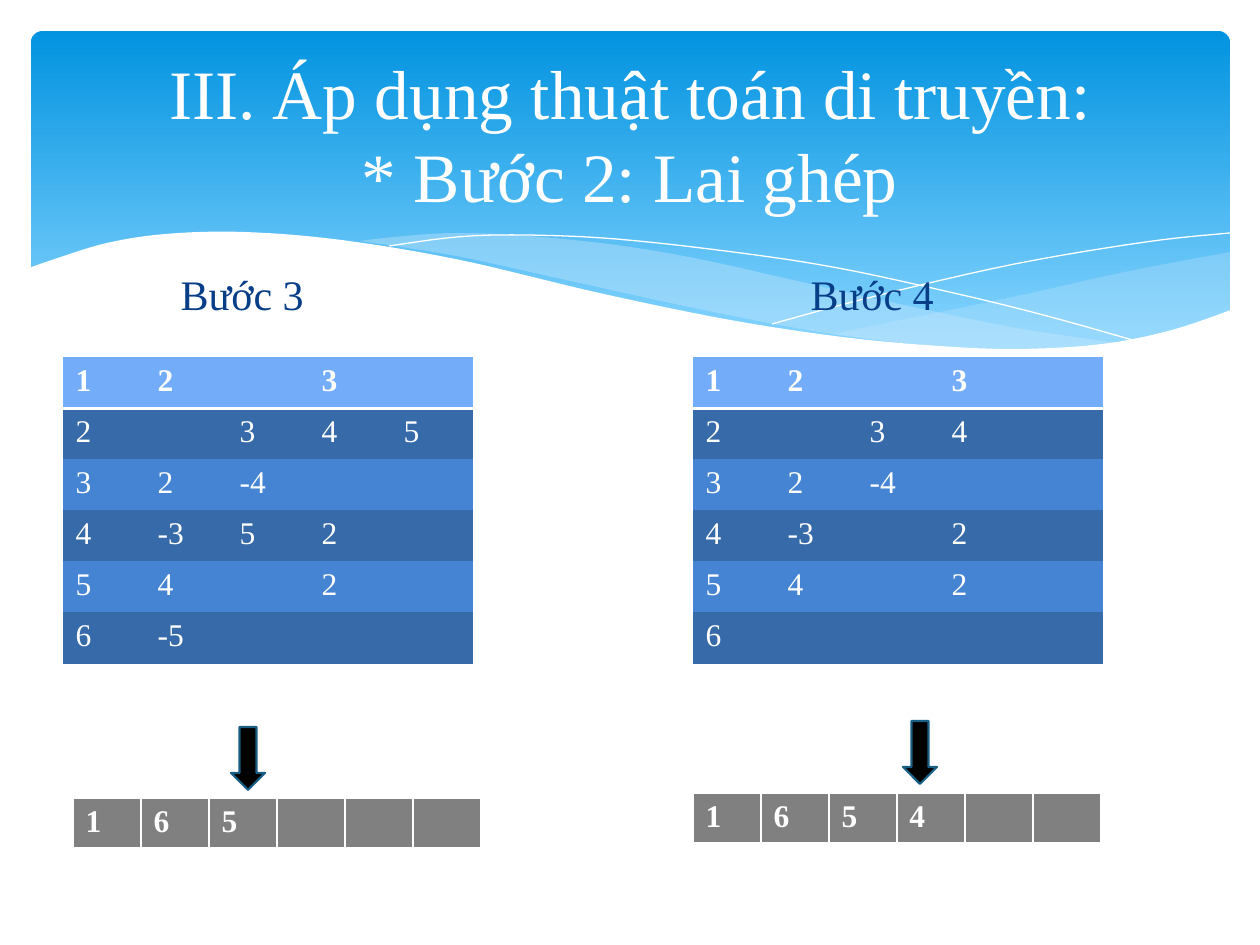
from dataclasses import dataclass
from typing import Optional

from lxml.etree import SubElement
from pptx import Presentation
from pptx.dml.color import RGBColor
from pptx.enum.shapes import MSO_SHAPE as SHAPE
from pptx.enum.text import MSO_ANCHOR as ANCHOR, MSO_AUTO_SIZE as AUTO, PP_ALIGN as ALIGN
from pptx.oxml.ns import qn
from pptx.util import Emu, Pt

COLORS = {
    "white": "FFFFFF", "sky": "0293E0", "sky_light": "83D3FE", "mist": "C6E7FC",
    "navy": "073E87", "header": "73ACF8", "odd": "376AA9", "even": "4584D3",
    "gray": "808080", "black": "000000", "outline": "195F84",
}
FONT = "Times New Roman"
NO_STYLE = "{2D5ABB26-0587-4C30-8999-92F81FD0307C}"
CELL_W, GENE_W, ROW_H = 82, 68, 51


@dataclass
class Wave:
    """Smooth edges joined in order; without a fill it is an open white line."""
    edges: list
    fill: Optional[str] = None
    alpha: int = 100


@dataclass
class Step:
    label: str
    left: int
    rows: list
    genes: list
    gene_at: tuple
    arrow_at: tuple


WAVES = [
    Wave([[(1230, 252), (1125, 272), (1008, 298), (833, 334)],
          [(833, 334), (922, 345), (1012, 350), (1088, 347), (1152, 338), (1230, 311)]],
         "mist", 29),
    Wave([[(1125, 344), (1017, 328), (890, 302), (793, 280), (699, 259), (616, 245),
           (529, 236), (455, 233), (394, 237), (360, 241)],
          [(360, 241), (456, 256), (566, 280), (713, 312), (838, 335), (943, 347),
           (1031, 350), (1125, 344)]], "mist", 40),
    Wave([[(389, 246), (457, 237), (524, 235), (616, 239), (733, 252), (838, 268),
           (958, 294), (1047, 316), (1143, 343)]]),
    Wave([[(772, 324), (876, 296), (1015, 264), (1146, 242), (1230, 233)]]),
    Wave([[(1231, 310), (1172, 330), (1103, 344), (1019, 349), (938, 346), (842, 337),
           (730, 320), (599, 293), (460, 260), (341, 240), (243, 232), (166, 234),
           (107, 243), (58, 258), (29, 268)], [(29, 415), (1231, 415)]], "white"),
]

STEPS = [
    Step("Bước 3", 63,
         [["1", "2", "", "3", ""], ["2", "", "3", "4", "5"], ["3", "2", "-4", "", ""],
          ["4", "-3", "5", "2", ""], ["5", "4", "", "2", ""], ["6", "-5", "", "", ""]],
         ["1", "6", "5", "", "", ""], (73, 798), (231, 727)),
    Step("Bước 4", 693,
         [["1", "2", "", "3", ""], ["2", "", "3", "4", ""], ["3", "2", "-4", "", ""],
          ["4", "-3", "", "2", ""], ["5", "4", "", "2", ""], ["6", "", "", "", ""]],
         ["1", "6", "5", "4", "", ""], (693, 793), (903, 721)),
]


def px(value: float) -> Emu:
    return Emu(round(value * 914400 / 126))


def rgb(name: str) -> RGBColor:
    return RGBColor.from_string(COLORS[name])


def style_font(font, color: str, **formats) -> None:
    for key, value in {"name": FONT, **formats}.items():
        setattr(font, key, value)
    font.color.rgb = rgb(color)


def place(sp, *box: int) -> None:
    for key, value in zip(("left", "top", "width", "height"), box):
        setattr(sp, key, px(value))


def smooth(points: list, steps: int = 6) -> list:
    """Catmull-Rom curve through the points."""
    if len(points) < 3:
        return points
    padded = [points[0], *points, points[-1]]
    curve = [points[0]]
    for a, b, c, d in zip(padded, padded[1:], padded[2:], padded[3:]):
        for t in (i / steps for i in range(1, steps + 1)):
            curve.append(tuple(
                0.5 * (2 * q + (r - p) * t + (2 * p - 5 * q + 4 * r - s) * t ** 2
                       + (3 * q - p - 3 * r + s) * t ** 3)
                for p, q, r, s in zip(a, b, c, d)))
    return curve


def add_wave(shapes, wave: Wave) -> None:
    points = [(px(x), px(y)) for edge in wave.edges for x, y in smooth(edge)]
    builder = shapes.build_freeform(*points[0])
    builder.add_line_segments(points[1:], close=bool(wave.fill))
    sp = builder.convert_to_shape()
    sp.shadow.inherit = False
    if not wave.fill:
        sp.fill.background()
        sp.line.color.rgb = rgb("white")
        sp.line.width = 0
        return
    sp.fill.solid()
    sp.fill.fore_color.rgb = rgb(wave.fill)
    sp.line.fill.background()
    if wave.alpha < 100:
        color = sp._element.spPr.find(f"{qn('a:solidFill')}/{qn('a:srgbClr')}")
        SubElement(color, qn("a:alpha"), val=str(wave.alpha * 1000))


def add_banner(shapes) -> None:
    sp = shapes.add_shape(SHAPE.ROUNDED_RECTANGLE, px(31), px(31), px(1199), px(340))
    sp.adjustments[0] = 0.034
    sp.shadow.inherit = False
    sp.line.fill.background()
    sp.fill.gradient()
    sp.fill.gradient_angle = 270
    for stop, color, position in zip(sp.fill.gradient_stops, ("sky", "sky_light"), (0, 0.9)):
        stop.color.rgb = rgb(color)
        stop.position = position


def add_border(cell, side: str, width: float) -> None:
    """Put a white border before the cell's fill, as the schema orders it."""
    tc_pr = cell._tc.get_or_add_tcPr()
    ln = SubElement(tc_pr, qn(f"a:ln{side}"), w=str(Pt(width)))
    fill = SubElement(ln, qn("a:solidFill"))
    SubElement(fill, qn("a:srgbClr"), val=COLORS["white"])


def add_grid(shapes, at: tuple, rows: list, col_w: int, fills: list, borders: dict) -> None:
    """Draw a table whose first row is bold and carries the borders."""
    n_cols = len(rows[0])
    frame = shapes.add_table(len(rows), n_cols, px(at[0]), px(at[1]),
                             px(col_w * n_cols), px(ROW_H * len(rows)))
    table = frame.table
    table._tbl.tblPr.find(qn("a:tableStyleId")).text = NO_STYLE
    for i, values in enumerate(rows):
        for j, value in enumerate(values):
            cell = table.cell(i, j)
            if i == 0:
                for side, width in borders.items():
                    add_border(cell, side, width)
            cell.fill.solid()
            cell.fill.fore_color.rgb = rgb(fills[i])
            if value:
                r = cell.text_frame.paragraphs[0].add_run()
                r.text = value
                style_font(r.font, "white", size=Pt(18), bold=i == 0)


def add_step(shapes, step: Step) -> None:
    add_grid(shapes, (step.left, 357), step.rows, CELL_W,
             ["header"] + ["odd", "even"] * 2 + ["odd"], {"B": 2})
    add_grid(shapes, step.gene_at, [step.genes], GENE_W, ["gray"],
             {"L": 1, "R": 1, "T": 1, "B": 3})
    sp = shapes.add_shape(SHAPE.DOWN_ARROW, *map(px, (*step.arrow_at, 34, 63)))
    sp.shadow.inherit = False
    sp.fill.solid()
    sp.fill.fore_color.rgb = rgb("black")
    sp.line.color.rgb = rgb("outline")
    sp.line.width = Pt(1.25)


def fill_title(sp) -> None:
    place(sp, 63, 47, 1134, 173)
    tf = sp.text_frame
    tf.auto_size, tf.vertical_anchor = AUTO.NONE, ANCHOR.MIDDLE
    p = tf.paragraphs[0]
    p.text = "III. Áp dụng thuật toán di truyền:\v* Bước 2: Lai ghép"
    p.alignment = ALIGN.CENTER
    for r in p.runs:
        style_font(r.font, "white", size=Pt(39.6))


def fill_label(sp, step: Step) -> None:
    place(sp, step.left + 105, 262, 300, 75)
    tf = sp.text_frame
    tf.auto_size = AUTO.NONE
    p = tf.paragraphs[0]
    r = p.add_run()
    r.text = step.label
    style_font(r.font, "navy", size=Pt(24))
    p.space_before = Pt(4.8)
    p_pr = p._p.get_or_add_pPr()
    for key in ("marL", "indent"):
        p_pr.set(key, "0")
    SubElement(p_pr, qn("a:buNone"))


def main() -> None:
    prs = Presentation()
    prs.slide_width, prs.slide_height = px(1260), px(945)
    slide = prs.slides.add_slide(prs.slide_layouts[3])
    shapes = slide.shapes
    title, *labels = slide.placeholders
    add_banner(shapes)
    for wave in WAVES:
        add_wave(shapes, wave)
    for label, step in zip(labels, STEPS):
        fill_label(label, step)
    fill_title(title)
    for sp in (*labels, title):
        shapes._spTree.append(sp._element)
    for step in STEPS:
        add_step(shapes, step)
    prs.save("out.pptx")


if __name__ == "__main__":
    main()
